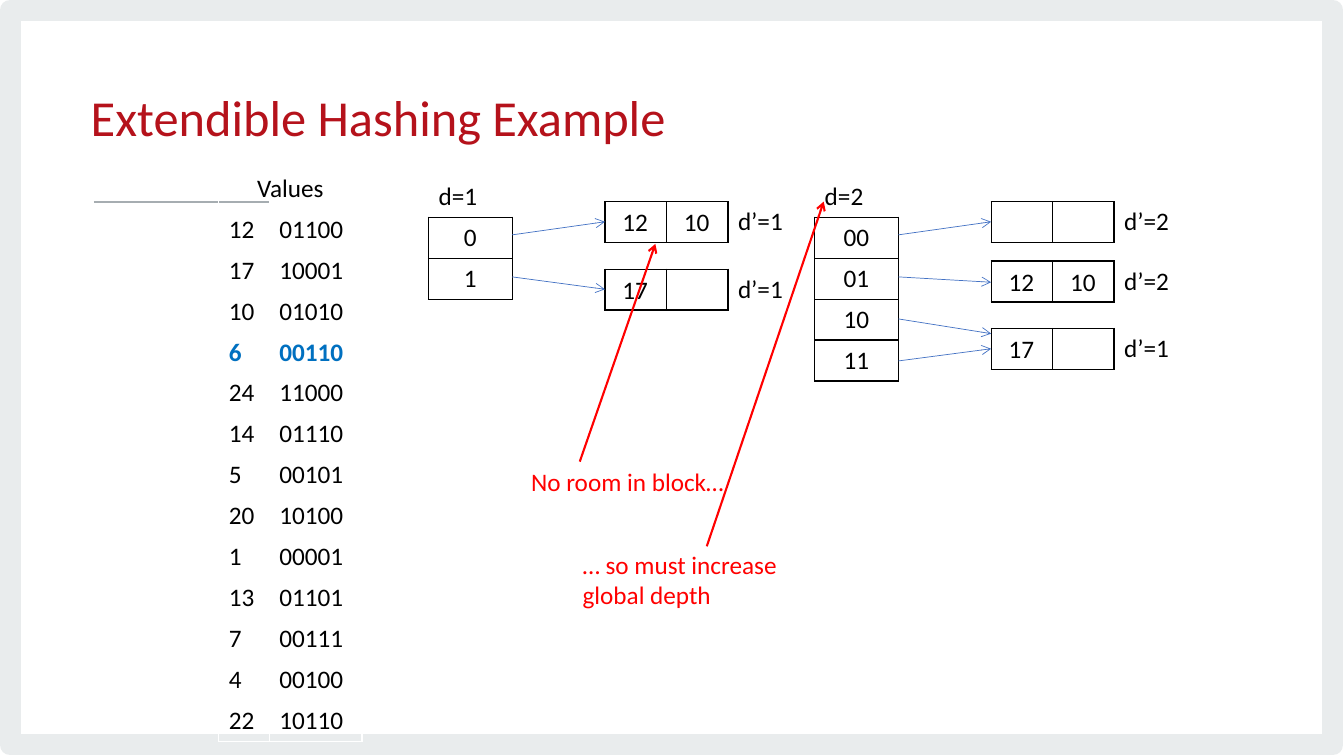
from lxml.etree import SubElement
from pptx import Presentation
from pptx.dml.color import RGBColor
from pptx.enum.shapes import MSO_CONNECTOR, MSO_SHAPE
from pptx.enum.text import MSO_ANCHOR, PP_ALIGN
from pptx.oxml.ns import qn
from pptx.util import Inches, Pt

FONT = "Calibri"
BLACK = RGBColor(0x00, 0x00, 0x00)
WHITE = RGBColor(0xFF, 0xFF, 0xFF)
RED = RGBColor(0xFF, 0x00, 0x00)
BLUE = RGBColor(0x00, 0x70, 0xC0)
ARROW_BLUE = RGBColor(0x44, 0x72, 0xC4)
TITLE_RED = RGBColor(0xB5, 0x12, 0x1B)
FRAME_GRAY = RGBColor(0xE9, 0xEC, 0xED)
RULE_GRAY = RGBColor(0xA6, 0xAD, 0xB1)

ROW_H = 0.406
SLOT_W = 0.61
DIRECTORY_W = 0.83
VALUES = [12, 17, 10, 6, 24, 14, 5, 20, 1, 13, 7, 4, 22]
INSERTED = 6


def write(tf, text, size=18, color=BLACK, bold=False, align=PP_ALIGN.LEFT):
    p = tf.paragraphs[0]
    p.alignment = align
    r = p.add_run()
    r.text = text
    r.font.name = FONT
    r.font.size = Pt(size)
    r.font.bold = bold
    r.font.color.rgb = color
    return p


def add_text(s, x, y, w, h, text, **fmt):
    tf = s.shapes.add_textbox(Inches(x), Inches(y), Inches(w), Inches(h)).text_frame
    tf.word_wrap = True
    write(tf, text, **fmt)


def add_line(s, start, end, color, width, arrow=True):
    ends = [Inches(v) for v in (*start, *end)]
    line = s.shapes.add_connector(MSO_CONNECTOR.STRAIGHT, *ends)
    line.line.color.rgb = color
    line.line.width = Pt(width)
    if arrow:
        SubElement(line.line._get_or_add_ln(), qn("a:tailEnd"), type="arrow")
    SubElement(line._element.spPr, qn("a:effectLst"))


def add_grid(s, x, y, widths, rows):
    shape = s.shapes.add_table(rows, len(widths), Inches(x), Inches(y),
                               Inches(sum(widths)), Inches(rows * ROW_H))
    table = shape.table
    table.first_row = table.horz_banding = False
    for column, width in zip(table.columns, widths):
        column.width = Inches(width)
    for row in table.rows:
        row.height = Inches(ROW_H)
    return table


def format_cell(cell, color, sides="LRTB"):
    """Draw the named sides, clear the others, and leave the cell unfilled."""
    tcPr = cell._tc.get_or_add_tcPr()
    for side in "LRTB":
        ln = SubElement(tcPr, qn(f"a:ln{side}"), w=str(Pt(1)))
        if side in sides:
            fill = SubElement(ln, qn("a:solidFill"))
            SubElement(fill, qn("a:srgbClr"), val=str(color))
        else:
            SubElement(ln, qn("a:noFill"))
    cell.fill.background()


def add_frame(s):
    frame = s.shapes.add_shape(MSO_SHAPE.RECTANGLE, Inches(0.1), Inches(0.1),
                               Inches(13.12), Inches(7.29))
    frame.shadow.inherit = False
    frame.fill.background()
    frame.line.color.rgb = FRAME_GRAY
    frame.line.width = Pt(15.11)
    SubElement(frame.line._get_or_add_ln(), qn("a:round"))


def add_title(s, text):
    title = s.shapes.title
    title.left, title.top = Inches(0.8), Inches(0.58)
    title.width, title.height = Inches(8.28), Inches(1.27)
    title.text_frame.vertical_anchor = MSO_ANCHOR.MIDDLE
    p = write(title.text_frame, text, size=36, color=TITLE_RED)
    p.line_spacing = Pt(34.7)


def add_values(s):
    table = add_grid(s, 2.17, 1.67, [0.5, 0.92], len(VALUES) + 1)
    for cell in table.iter_cells():
        format_cell(cell, WHITE)
    header = table.cell(0, 0)
    header.merge(table.cell(0, 1))
    write(header.text_frame, "Values", align=PP_ALIGN.CENTER)
    for i, value in enumerate(VALUES, 1):
        new = value == INSERTED
        for j, text in enumerate([str(value), f"{value:05b}"]):
            write(table.cell(i, j).text_frame, text,
                  color=BLUE if new else BLACK, bold=new)


def add_directory(s, x, depth):
    """One row for each prefix of the given number of bits."""
    table = add_grid(s, x, 1.75, [DIRECTORY_W], 2 ** depth + 1)
    format_cell(table.cell(0, 0), BLACK, "B")
    write(table.cell(0, 0).text_frame, f"d={depth}")
    for i in range(2 ** depth):
        cell = table.cell(i + 1, 0)
        format_cell(cell, BLACK)
        write(cell.text_frame, f"{i:0{depth}b}", align=PP_ALIGN.CENTER)


def add_bucket(s, x, y, depth, values):
    table = add_grid(s, x, y, [SLOT_W, SLOT_W, 0.7], 1)
    for j, sides in enumerate(["LRTB", "LRTB", "L"]):
        format_cell(table.cell(0, j), BLACK, sides)
    write(table.cell(0, 2).text_frame, f"d’={depth}")
    for j, value in enumerate(values):
        add_text(s, x + 0.01 + j * SLOT_W, y, 0.58, 0.42, str(value),
                 align=PP_ALIGN.CENTER)


def add_state(s, x, depth, buckets, targets):
    """A directory, its buckets, and a pointer from each directory row."""
    add_directory(s, x, depth)
    bucket_x = x + 1.75
    for y, local_depth, values in buckets:
        add_bucket(s, bucket_x, y, local_depth, values)
    for i, target in enumerate(targets):
        add_line(s, (x + DIRECTORY_W, 2.33 + i * 0.417), (bucket_x, target),
                 ARROW_BLUE, 0.5)


def main():
    prs = Presentation()
    prs.slide_width, prs.slide_height = Inches(13.33), Inches(7.5)
    s = prs.slides.add_slide(prs.slide_layouts[5])

    # Frame, rule and title
    add_frame(s)
    add_line(s, (0.93, 2), (2.67, 2), RULE_GRAY, 1.33, arrow=False)
    add_title(s, "Extendible Hashing Example")

    # Values, then the directory before and after it doubles
    add_values(s)
    add_state(s, 4.25, 1, [(2, 1, [12, 10]), (2.67, 1, [17])], [2.2, 2.87])
    add_state(s, 8.08, 2, [(2, 2, []), (2.59, 2, [12, 10]), (3.26, 1, [17])],
              [2.2, 2.8, 3.31, 3.46])

    # Red remarks
    add_text(s, 5.17, 4.58, 2.17, 0.4, "No room in block…", color=RED)
    add_line(s, (5.75, 4.58), (6.5, 2.42), RED, 1.5)
    add_text(s, 5.68, 5.4, 2.37, 0.71, "… so must increase global depth", color=RED)
    add_line(s, (7.01, 5.42), (8.17, 2), RED, 1.5)

    prs.save("out.pptx")


if __name__ == "__main__":
    main()
